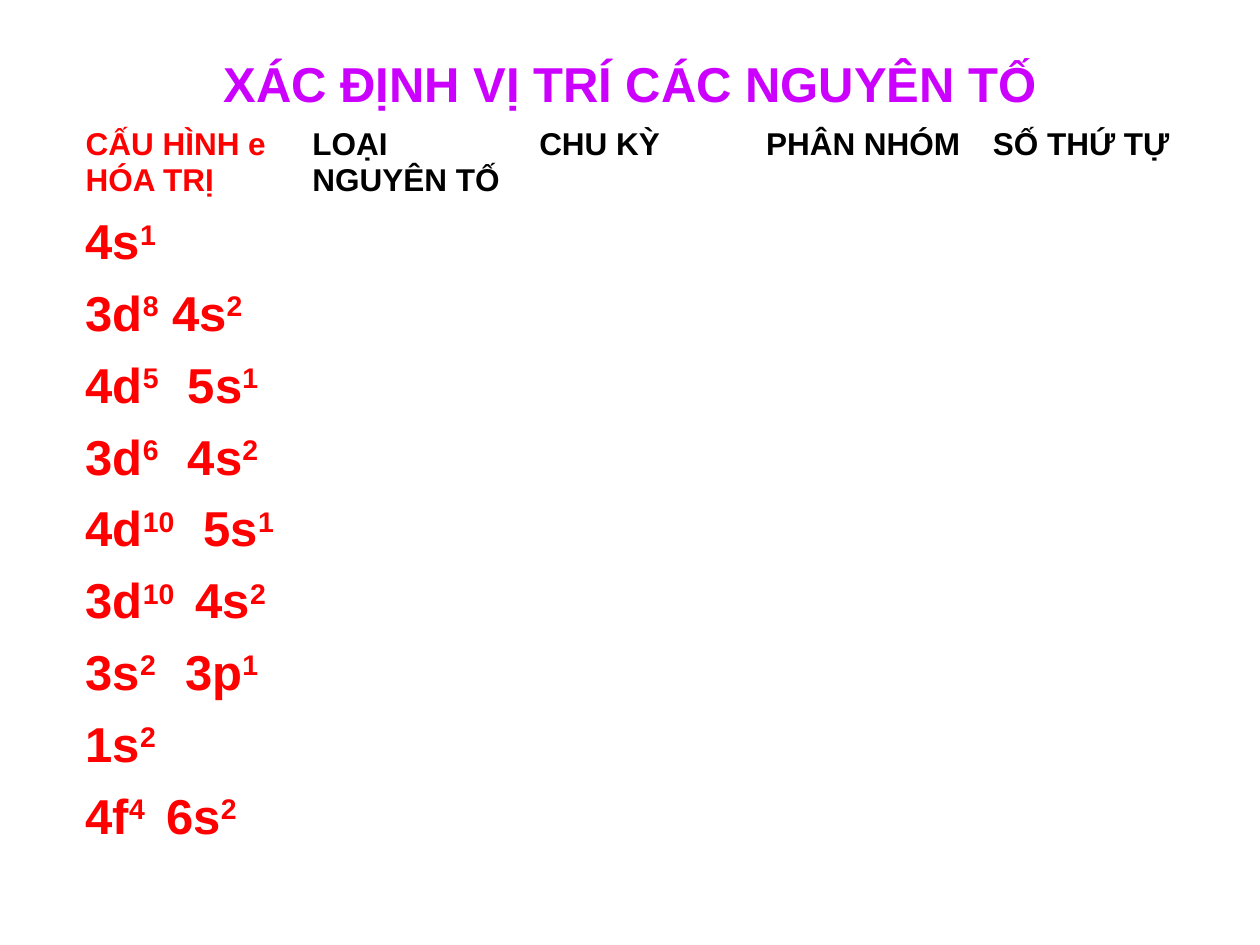
"""Builds a slide with a table for locating elements from their valence electrons."""
from dataclasses import dataclass

from lxml import etree
from pptx import Presentation
from pptx import util as u
from pptx.dml.color import RGBColor
from pptx.enum import text
from pptx.oxml.ns import qn


@dataclass(frozen=True)
class Theme:
    font: str = "Arial"
    title: str = "CC00FF"
    accent: str = "FF0000"
    ink: str = "000000"
    line: str = "FFFFFF"
    large: int = 28
    small: int = 18
    thin: float = 0.45
    thick: float = 1.47


T = Theme()
HEADERS = ["CẤU HÌNH e HÓA TRỊ", "LOẠI NGUYÊN TỐ", "CHU KỲ", "PHÂN NHÓM", "SỐ THỨ TỰ"]
CONFIGURATIONS = [
    [("4s", "1")],
    [("3d", "8"), 0, ("4s", "2")],
    [("4d", "5"), 9, ("5s", "1")],
    [("3d", "6"), 9, ("4s", "2")],
    [("4d", "10"), 9, ("5s", "1")],
    [("3d", "10"), 4.5, ("4s", "2")],
    [("3s", "2"), 9, ("3p", "1")],
    [("1s", "2")],
    [("4f", "4"), 4.5, ("6s", "2")],
]
HEADER_H, ROW_H, LAST_H = 0.7, 0.57, 1.29
heights = [HEADER_H] + [ROW_H] * (len(CONFIGURATIONS) - 1) + [LAST_H]


def add_run(p, words, size, color, **attributes):
    r = p.add_run()
    r.text = words
    r.font.name, r.font.size, r.font.bold = T.font, u.Pt(size), True
    r.font.color.rgb = RGBColor.from_string(color)
    for name, value in attributes.items():
        r._r.get_or_add_rPr().set(name, str(value))


def add_border(cell, side, width):
    ln = etree.SubElement(cell._tc.get_or_add_tcPr(), qn(f"a:ln{side}"), w=str(u.Pt(width)))
    fill = etree.SubElement(ln, qn("a:solidFill"))
    etree.SubElement(fill, qn("a:srgbClr"), val=T.line)


prs = Presentation()
prs.slide_width, prs.slide_height = u.Inches(10), u.Inches(7.5)
s = prs.slides.add_slide(prs.slide_layouts[6])
content_w = int(prs.slide_width * 0.9)

title = s.shapes.add_textbox(u.Inches(0.5), u.Inches(0.03), content_w, u.Inches(1.25))
tf = title.text_frame
tf.word_wrap = True
tf.vertical_anchor = text.MSO_ANCHOR.MIDDLE
p = tf.paragraphs[0]
p.alignment = text.PP_ALIGN.CENTER
add_run(p, "XÁC ĐỊNH VỊ TRÍ CÁC NGUYÊN TỐ", T.large, T.title)

table = s.shapes.add_table(
    len(heights), len(HEADERS), u.Inches(0.58), u.Inches(0.96), content_w, u.Inches(sum(heights))
).table
for column in table.columns:
    column.width = content_w // len(HEADERS)
for row, height in zip(table.rows, heights):
    row.height = u.Inches(height)

for i, row in enumerate(table.rows):
    for cell in row.cells:
        for side in "LRTB":
            under_header = (i, side) in ((0, "B"), (1, "T"))
            add_border(cell, side, T.thick if under_header else T.thin)
        cell.fill.background()

for j, header in enumerate(HEADERS):
    p = table.cell(0, j).text_frame.paragraphs[0]
    add_run(p, header, T.small, T.ink if j else T.accent)

for i, configuration in enumerate(CONFIGURATIONS, 1):
    p = table.cell(i, 0).text_frame.paragraphs[0]
    for part in configuration:
        if isinstance(part, tuple):
            subshell, electrons = part
            add_run(p, subshell, T.large, T.accent)
            add_run(p, electrons, T.large, T.accent, baseline=30000)
        else:
            add_run(p, " ", T.large, T.accent, spc=int(part * 100))

prs.save("out.pptx")
